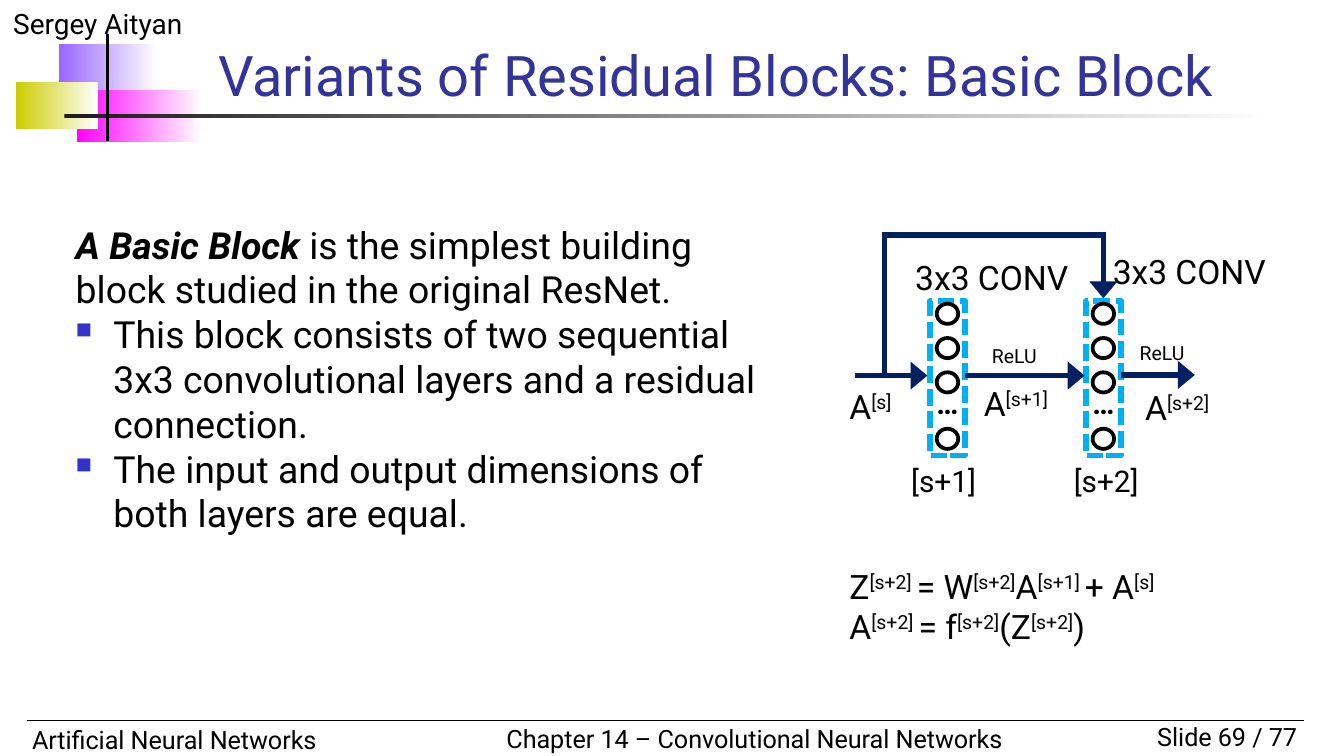
from dataclasses import dataclass

from lxml import etree
from pptx import Presentation
from pptx.dml.color import RGBColor
from pptx.enum.dml import MSO_LINE
from pptx.enum.shapes import MSO_CONNECTOR, MSO_SHAPE
from pptx.enum.text import MSO_ANCHOR, PP_ALIGN
from pptx.oxml.ns import qn
from pptx.util import Inches, Pt

RECTANGLE, OVAL = MSO_SHAPE.RECTANGLE, MSO_SHAPE.OVAL
STRAIGHT = MSO_CONNECTOR.STRAIGHT
DASHED = MSO_LINE.SQUARE_DOT
LEFT, CENTER, RIGHT = PP_ALIGN.LEFT, PP_ALIGN.CENTER, PP_ALIGN.RIGHT
TOP, BOTTOM = MSO_ANCHOR.TOP, MSO_ANCHOR.BOTTOM

FONT = "Roboto"
BLACK, WHITE, NAVY, SKY = "000000", "FFFFFF", "002060", "00B0F0"
TITLE_BLUE, BULLET_BLUE = "333399", "3333CC"

# The page is a grid of 100 columns by 56.25 rows, 16 to 9.
CELL = 0.1
COLUMNS, ROWS = 100, 56.25


@dataclass(frozen=True)
class Area:
    column: float
    row: float
    columns: float
    rows: float

    def lengths(self) -> list:
        return [cells(n) for n in (self.column, self.row, self.columns, self.rows)]


@dataclass(frozen=True)
class Label:
    """Text whose parts between bars alternate between normal and raised."""
    text: str
    area: Area
    size: float = 18
    align: PP_ALIGN = LEFT
    bold: bool = False
    inset: float = 0


@dataclass(frozen=True)
class Layer:
    column: float
    name: str
    name_column: float
    heading: Area


@dataclass(frozen=True)
class Stroke:
    start: tuple[float, float]
    end: tuple[float, float]
    color: str = NAVY
    width: float = 3
    arrow: bool = False


FADES = [
    ("9966FF", Area(4.4, 3.3, 7.3, 3.9)),
    ("FF00FF", Area(5.7, 6.7, 9.3, 3.9)),
    ("CCCC00", Area(1.2, 6.1, 6.1, 3.5)),
    ("1C1C1C", Area(4.8, 8.5, 90, 0.25)),
]
FRAME_LABELS = [
    Label("Sergey Aityan", Area(0, 0, 25, 3.5), 15, inset=1),
    Label("Slide 69 / 77", Area(82.5, 53.2, 15, 3.3), 13.5, RIGHT, inset=1),
    Label("Artificial Neural Networks", Area(1.4, 53.4, 37, 3.3), 13.5, inset=1),
    Label("Chapter 14 – Convolutional Neural Networks",
          Area(36.7, 53.3, 39.1, 3.3), 13.5, inset=1),
]
FRAME_LINES = [
    Stroke((2, 53.6), (97, 53.6), BLACK, 0.75),
    Stroke((8, 2.5), (8, 10.5), BLACK, 2),
]
BODY = [
    ("A Basic Block ", "is the simplest building block studied in the original ResNet.", False),
    ("", "This block consists of two sequential 3x3 convolutional layers "
         "and a residual connection.", True),
    ("", "The input and output dimensions of both layers are equal.", True),
]
LAYERS = [
    Layer(69.2, "[s+1]", 67.8, Area(68.1, 19.1, 11.9, 3)),
    Layer(80.8, "[s+2]", 79.9, Area(82.8, 18.7, 12.6, 3)),
]
NEURON_ROWS = (22.6, 25.15, 27.7, 31.9)
SIGNALS = [
    Stroke((63.6, 27.95), (69, 27.95), arrow=True),
    Stroke((71.8, 27.95), (80.7, 27.95), arrow=True),
    Stroke((83.4, 27.9), (88.9, 27.9), arrow=True),
    Stroke((65.8, 17.5), (82.1, 17.5)),
    Stroke((65.8, 28), (65.8, 17.3)),
    Stroke((82.1, 17.3), (82.1, 22.2), arrow=True),
]
SIGNAL_LABELS = [
    Label("A|[s]", Area(63.2, 28.7, 5.3, 3)),
    Label("A|[s+1]", Area(73.2, 28.5, 7.2, 3)),
    Label("A|[s+2]", Area(85.2, 28.8, 6.2, 3)),
    Label("|ReLU", Area(73.8, 25.3, 4.3, 2)),
    Label("|ReLU", Area(84.8, 25.1, 4.3, 2)),
    Label("Z|[s+2] |= W|[s+2]|A|[s+1] |+ A|[s]\nA|[s+2] |= f|[s+2]|(Z|[s+2]|)",
          Area(63.2, 42.1, 31.5, 6.1)),
]


def cells(count: float) -> int:
    return Inches(count * CELL)


def color(value: str) -> RGBColor:
    return RGBColor.from_string(value)


def set_font(font, size: float, value: str = BLACK) -> None:
    font.name, font.size, font.color.rgb = FONT, Pt(size), color(value)


def add_frame(page, area: Area, inset: float, anchor=TOP):
    """Add an empty text box; one inset is the usual margin, zero is none."""
    frame = page.shapes.add_textbox(*area.lengths()).text_frame
    frame.word_wrap = True
    frame.vertical_anchor = anchor
    frame.margin_left = frame.margin_right = cells(inset)
    frame.margin_top = frame.margin_bottom = cells(inset / 2)
    return frame


def add_label(page, label: Label, value: str = BLACK, anchor=TOP) -> None:
    frame = add_frame(page, label.area, label.inset, anchor)
    for index, line in enumerate(label.text.split("\n")):
        para = frame.add_paragraph() if index else frame.paragraphs[0]
        para.alignment = label.align
        set_font(para.font, label.size, value)
        para.font.bold = label.bold
        for position, part in enumerate(line.split("|")):
            if part:
                span = para.add_run()
                span.text = part
                if position % 2:
                    span._r.get_or_add_rPr().set("baseline", "30000")


def add_bullet(para) -> None:
    props = para._p.get_or_add_pPr()
    props.set("marL", str(cells(2.8)))
    props.set("indent", str(-cells(2.8)))
    tint = etree.SubElement(props, qn("a:buClr"))
    etree.SubElement(tint, qn("a:srgbClr"), val=BULLET_BLUE)
    etree.SubElement(props, qn("a:buSzPct"), val="60000")
    etree.SubElement(props, qn("a:buChar"), char="■")


def add_body(page) -> None:
    frame = add_frame(page, Area(4.65, 16, 54.5, 16.5), 1)
    for index, (lead, rest, bulleted) in enumerate(BODY):
        para = frame.add_paragraph() if index else frame.paragraphs[0]
        if bulleted:
            add_bullet(para)
        set_font(para.font, 20)
        if lead:
            span = para.add_run()
            span.text = lead
            span.font.bold = span.font.italic = True
        para.add_run().text = rest


def add_fade(page, value: str, area: Area) -> None:
    box = page.shapes.add_shape(RECTANGLE, *area.lengths())
    box.shadow.inherit = False
    box.line.fill.background()
    box.fill.gradient()
    box.fill.gradient_angle = 0
    for stop, tint in zip(box.fill.gradient_stops, (value, WHITE)):
        stop.color.rgb = color(tint)


def add_outline(page, kind, area: Area, value: str, width: float):
    box = page.shapes.add_shape(kind, *area.lengths())
    box.shadow.inherit = False
    box.fill.background()
    box.line.color.rgb = color(value)
    box.line.width = Pt(width)
    return box


def add_stroke(page, stroke: Stroke) -> None:
    ends = [cells(n) for n in stroke.start + stroke.end]
    line = page.shapes.add_connector(STRAIGHT, *ends)
    line.line.color.rgb = color(stroke.color)
    line.line.width = Pt(stroke.width)
    if stroke.arrow:
        etree.SubElement(line.line._get_or_add_ln(), qn("a:tailEnd"), type="triangle", w="lg")
    etree.SubElement(line._element.spPr, qn("a:effectLst"))


def add_layer(page, layer: Layer) -> None:
    border = add_outline(page, RECTANGLE, Area(layer.column, 22.4, 2.6, 11.5), SKY, 3)
    border.line.dash_style = DASHED
    for row in NEURON_ROWS:
        add_outline(page, OVAL, Area(layer.column + 0.5, row, 1.6, 1.5), BLACK, 2)
    add_label(page, Label("…", Area(layer.column - 0.1, 28.6, 2.8, 2.7), 16, CENTER, True))
    add_label(page, Label(layer.name, Area(layer.name_column, 34.4, 6.3, 2.7), 16))
    add_label(page, Label("3x3 CONV", layer.heading))


def main() -> None:
    deck = Presentation()
    deck.slide_width, deck.slide_height = cells(COLUMNS), cells(ROWS)
    page = deck.slides.add_slide(deck.slide_layouts[6])
    for value, area in FADES:
        add_fade(page, value, area)
    for label in FRAME_LABELS:
        add_label(page, label)
    for stroke in FRAME_LINES:
        add_stroke(page, stroke)
    title = Label("Variants of Residual Blocks: Basic Block",
                  Area(15.25, 3.1, 78.3, 5.4), 30, inset=1)
    add_label(page, title, TITLE_BLUE, BOTTOM)
    add_body(page)
    for layer in LAYERS:
        add_layer(page, layer)
    for stroke in SIGNALS:
        add_stroke(page, stroke)
    for label in SIGNAL_LABELS:
        add_label(page, label)
    deck.save("out.pptx")


if __name__ == "__main__":
    main()
